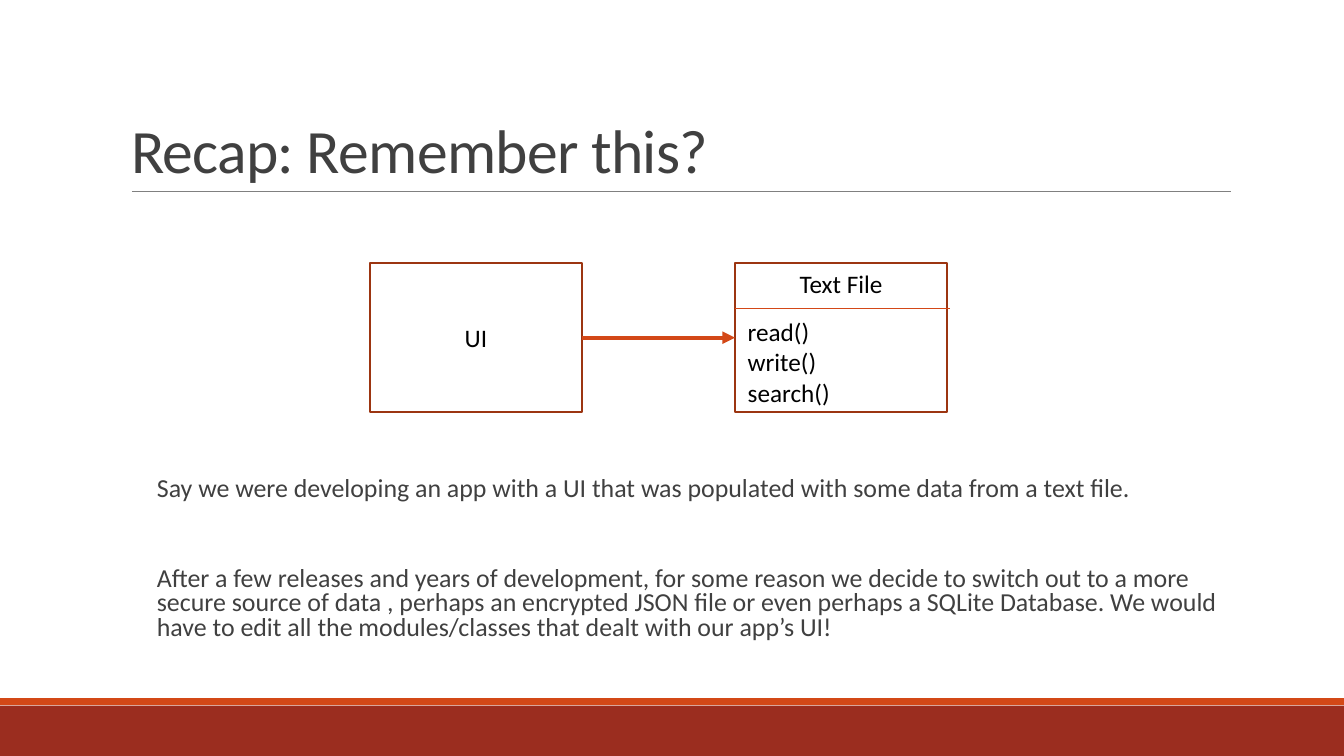
"""Build the recap slide showing a UI that depends on a text file."""
import dataclasses

import lxml.etree
import pptx
import pptx.dml.color
import pptx.enum.shapes
import pptx.enum.text
import pptx.oxml.ns
import pptx.slide
import pptx.text.text
import pptx.util

Pt = pptx.util.Pt
ALIGN = pptx.enum.text.PP_ALIGN
ANCHOR = pptx.enum.text.MSO_ANCHOR

FONT = "Calibri"
BLACK, WHITE, DARK_GREY, GREY = "000000", "FFFFFF", "404040", "808080"
ORANGE, RUST, BRICK = "D34817", "9C3511", "9B2D1F"

UI_LEFT, FILE_LEFT, CLASS_TOP = 264.25, 525, 188
CLASS_WIDTH, CLASS_HEIGHT = 151.5, 106.5
UI_RIGHT = UI_LEFT + CLASS_WIDTH
ARROW_Y = CLASS_TOP + CLASS_HEIGHT / 2


@dataclasses.dataclass(frozen=True)
class Panel:
    """A filled rectangle, outlined when an outline colour is given."""
    left: float
    top: float
    width: float
    height: float
    fill: str
    outline: str | None = None


@dataclasses.dataclass(frozen=True)
class Rule:
    """A horizontal line, optionally ending in an arrowhead."""
    start: float
    end: float
    y: float
    color: str
    weight: float
    arrow: bool = False


@dataclasses.dataclass(frozen=True)
class Label:
    """A text box with one style for all its paragraphs."""
    left: float
    top: float
    width: float
    height: float
    paragraphs: tuple[str, ...]
    size: float = 18
    color: str = BLACK
    align: ALIGN = ALIGN.LEFT
    anchor: ANCHOR = ANCHOR.TOP
    line_spacing: float = 1.0
    gap: float = 0
    tracking: int = 0


PANELS = (
    Panel(0, 504, 960, 36, BRICK),
    Panel(0, 498.75, 960, 5, ORANGE),
    Panel(FILE_LEFT, CLASS_TOP, CLASS_WIDTH, CLASS_HEIGHT, WHITE, RUST),
    Panel(UI_LEFT, CLASS_TOP, CLASS_WIDTH, CLASS_HEIGHT, WHITE, RUST),
)

RULES = (
    Rule(94.25, 879, 136.75, GREY, 0.5),
    Rule(UI_RIGHT, FILE_LEFT, ARROW_Y, ORANGE, 3, arrow=True),
    Rule(FILE_LEFT, 678.25, 220.25, ORANGE, 1),
)

LABELS = (
    Label(86.5, 22.25, 854, 114.5, ("Recap: Remember this?",), 44, DARK_GREY,
          anchor=ANCHOR.BOTTOM, line_spacing=0.85, tracking=-50),
    Label(UI_LEFT, CLASS_TOP, CLASS_WIDTH, CLASS_HEIGHT, ("UI",),
          align=ALIGN.CENTER, anchor=ANCHOR.MIDDLE),
    Label(105, 337.75, 782, 132, (
        "Say we were developing an app with a UI that was populated with "
        "some data from a text file.",
        "After a few releases and years of development, for some reason we "
        "decide to switch out to a more secure source of data , perhaps an "
        "encrypted JSON file or even perhaps a SQLite Database. We would "
        "have to edit all the modules/classes that dealt with our app’s UI!",
    ), 18.5, DARK_GREY, line_spacing=0.8, gap=46),
    Label(FILE_LEFT, CLASS_TOP, CLASS_WIDTH, 29, ("Text File",),
          align=ALIGN.CENTER),
    Label(527, 222.5, CLASS_WIDTH, 72.75, ("read()", "write()", "search()")),
)


def rgb(color: str) -> pptx.dml.color.RGBColor:
    """Turn a hex string into a colour."""
    return pptx.dml.color.RGBColor.from_string(color)


def draw_panel(slide: pptx.slide.Slide, panel: Panel) -> None:
    """Draw one rectangle."""
    rectangle = slide.shapes.add_shape(
        pptx.enum.shapes.MSO_SHAPE.RECTANGLE, Pt(panel.left), Pt(panel.top),
        Pt(panel.width), Pt(panel.height))
    rectangle.shadow.inherit = False
    rectangle.fill.solid()
    rectangle.fill.fore_color.rgb = rgb(panel.fill)
    if panel.outline is None:
        rectangle.line.fill.background()
    else:
        rectangle.line.color.rgb = rgb(panel.outline)
        rectangle.line.width = Pt(1.25)


def draw_rule(slide: pptx.slide.Slide, rule: Rule) -> None:
    """Draw one line or arrow."""
    connector = slide.shapes.add_connector(
        pptx.enum.shapes.MSO_CONNECTOR.STRAIGHT,
        Pt(rule.start), Pt(rule.y), Pt(rule.end), Pt(rule.y))
    connector.line.color.rgb = rgb(rule.color)
    connector.line.width = Pt(rule.weight)
    qn = pptx.oxml.ns.qn
    properties = connector._element.spPr
    if rule.arrow:
        lxml.etree.SubElement(properties.find(qn("a:ln")), qn("a:tailEnd"),
                              type="triangle")
    lxml.etree.SubElement(properties, qn("a:effectLst"))


def style_paragraph(paragraph: pptx.text.text._Paragraph,
                    label: Label) -> None:
    """Apply a label's style to one paragraph."""
    paragraph.alignment = label.align
    paragraph.line_spacing = label.line_spacing
    for run in paragraph.runs:
        run.font.name = FONT
        run.font.size = Pt(label.size)
        run.font.color.rgb = rgb(label.color)
        if label.tracking:
            run._r.get_or_add_rPr().set("spc", str(label.tracking))


def draw_label(slide: pptx.slide.Slide, label: Label) -> None:
    """Draw one text box."""
    frame = slide.shapes.add_textbox(
        Pt(label.left), Pt(label.top), Pt(label.width),
        Pt(label.height)).text_frame
    frame.word_wrap = True
    frame.vertical_anchor = label.anchor
    frame.text = "\n".join(label.paragraphs)
    for index, paragraph in enumerate(frame.paragraphs):
        style_paragraph(paragraph, label)
        if index and label.gap:
            paragraph.space_before = Pt(label.gap)


def main() -> None:
    """Assemble and save the slide."""
    deck = pptx.Presentation()
    deck.slide_width, deck.slide_height = Pt(960), Pt(540)
    slide = deck.slides.add_slide(deck.slide_layouts[6])
    for panel in PANELS:
        draw_panel(slide, panel)
    for rule in RULES:
        draw_rule(slide, rule)
    for label in LABELS:
        draw_label(slide, label)
    deck.save("out.pptx")


if __name__ == "__main__":
    main()
